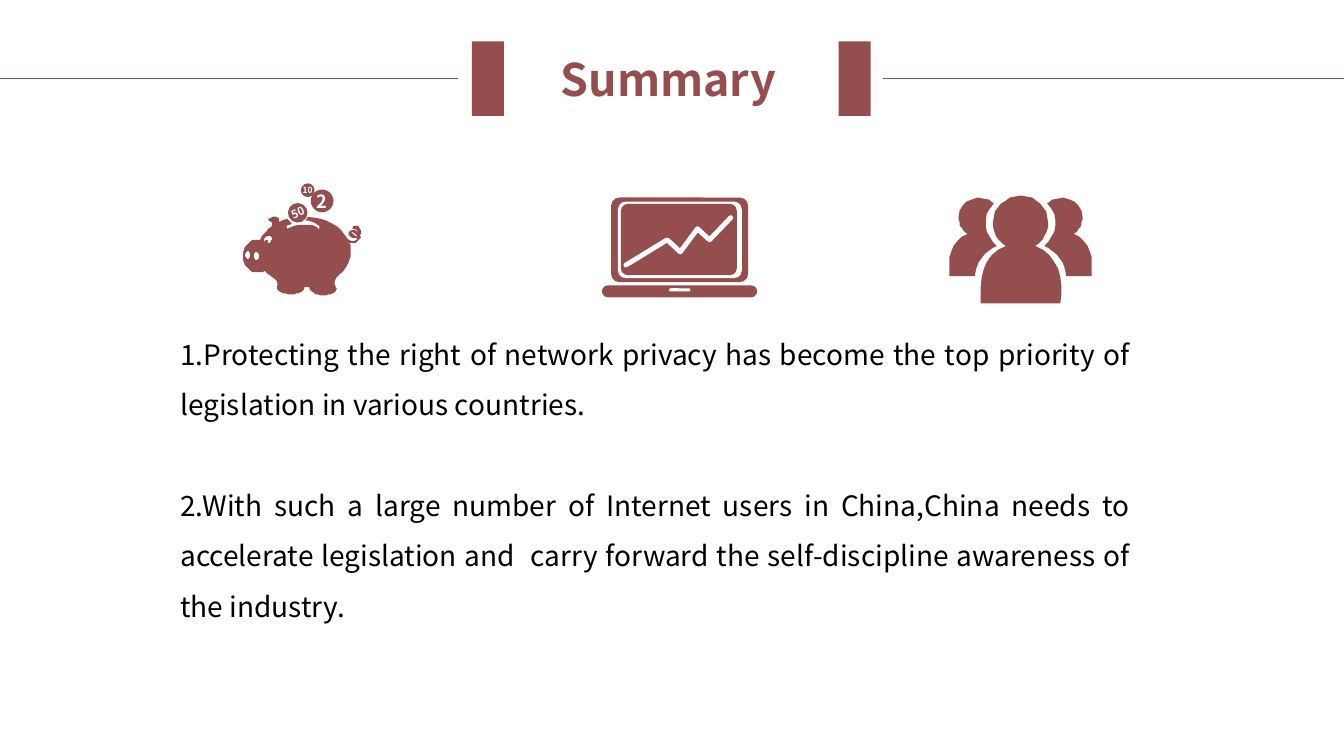
from dataclasses import dataclass

from lxml import etree
from pptx import Presentation
from pptx.dml.color import RGBColor
from pptx.enum.shapes import MSO_CONNECTOR, MSO_SHAPE
from pptx.enum.text import MSO_ANCHOR, MSO_AUTO_SIZE, PP_ALIGN
from pptx.oxml.ns import qn
from pptx.util import Pt

RECTANGLE, ROUNDED, OVAL = MSO_SHAPE.RECTANGLE, MSO_SHAPE.ROUNDED_RECTANGLE, MSO_SHAPE.OVAL
STRAIGHT = MSO_CONNECTOR.STRAIGHT
CENTER, JUSTIFY = PP_ALIGN.CENTER, PP_ALIGN.JUSTIFY
TOP, MIDDLE = MSO_ANCHOR.TOP, MSO_ANCHOR.MIDDLE
GROW, FIXED = MSO_AUTO_SIZE.SHAPE_TO_FIT_TEXT, MSO_AUTO_SIZE.NONE

COLORS = {"accent": "944E4E", "paper": "FFFFFF", "text": "000000"}
FONT = "Noto Sans CJK SC"
WIDTH, HEIGHT = 960, 540
OUTLINE_UNIT = 0.72  # points per unit in the icon outlines
CURVE_STEPS = 8

# Outlines: M starts a contour, L is a line, C a cubic curve.
FRONT_PERSON = """M 998 244 C 975 253 971 278 973 301 L 1052 301 C 1055 278 1051 253 1027 244
C 1035 239 1040 231 1040 221 C 1040 206 1028 194 1013 194 C 998 194 985 206 985 221
C 985 230 990 239 998 244"""
SIDE_PERSON = """M 942 274 L 967 274 C 968 262 977 248 989 244 C 977 235 973 214 986 202
C 974 190 951 198 951 215 C 951 222 954 229 960 232 C 943 239 940 257 942 274"""
MIRROR_SUM = 2025
PIG_TAIL_AND_BACK = """M 351 224 C 350 225 349 227 351 227 C 353 227 354 228 355 230
C 353 228 350 227 348 229 C 346 230 345 232 347 234 C 349 236 351 236 354 236
C 354 237 354 238 353 238 C 351 240 347 239 345 237 C 339 225 324 216 305 215
C 305 217 304 218 303 219 C 308 219 313 220 317 224 L 317 227 C 317 227 304 217 285 227
L 284 224 C 284 224 287 223 290 222 C 288 220 287 219 285 217 C 282 218 280 219 277 220"""
PIG_HEAD_AND_LEGS = """C 279 211 263 217 267 219 C 271 220 270 224 270 224
C 265 228 261 233 258 238 L 254 238 C 247 238 241 245 241 254 C 241 263 247 270 254 270
C 256 270 261 270 263 269 C 266 272 269 275 273 277 C 277 280 275 285 275 285
C 275 289 281 292 289 292 C 296 292 302 289 302 285 L 307 285 C 307 289 313 293 321 293
C 328 293 334 290 334 286 C 334 286 329 280 334 275 C 342 268 348 260 348 250
C 348 247 348 244 347 241 C 351 242 355 241 357 237 C 358 236 358 235 357 234
C 360 229 357 223 351 224"""
PIG_HOLES = """M 353 234 C 351 233 350 232 349 231 C 348 230 350 230 351 231
C 352 231 353 232 354 234
M 246 257 C 245 257 243 255 243 253 C 243 251 245 249 246 249 C 247 249 248 251 248 253
C 248 255 247 257 246 257
M 254 258 C 253 258 252 256 252 254 C 252 252 253 250 254 250 C 256 250 257 252 257 254
C 257 256 256 258 254 258
M 269 239 C 268 241 266 241 265 241 C 266 240 266 239 266 239 C 265 238 264 238 263 239
L 263 240 C 262 239 262 237 263 236 C 264 234 267 233 268 234 C 270 235 270 237 269 239"""
PIG_PARTS = [PIG_TAIL_AND_BACK, PIG_HEAD_AND_LEGS, PIG_HOLES]
TREND = "M 621 263 L 662 238 L 675 250 L 692 227 L 704 238 L 725 215.5"


@dataclass(frozen=True)
class Box:
    left: float
    top: float
    width: float
    height: float
    color: str = "accent"
    kind: int = RECTANGLE
    radius: float = 0


@dataclass(frozen=True)
class Coin:
    left: float
    top: float
    size: float
    value: str
    font_size: float
    rotation: float = 0


LAPTOP = [
    Box(430, 203.8, 110.9, 8.6, kind=ROUNDED, radius=4.3),
    Box(478, 205.9, 15.1, 2.3, "paper", ROUNDED, 1.1),
    Box(436.5, 141.1, 97.9, 60.5, kind=ROUNDED, radius=6),
    Box(441.4, 144, 88.5, 54.7, "paper", ROUNDED, 5.5),
    Box(443.5, 145.6, 82.8, 51, kind=ROUNDED, radius=5),
]
COINS = [
    Coin(222, 135.4, 16.2, "2", 13),
    Coin(205.7, 145, 14, "50", 8, -25),
    Coin(214.9, 131, 9.8, "10", 6),
]
TITLE_MARKS = [Box(left, 29.5, 23, 53.3) for left in (337, 599)]
TITLE_RULES = [(326.9, 0), (WIDTH, 630.7)]
SUMMARY = [
    "1.Protecting the right of network privacy has become the top priority of legislation "
    "in various countries.",
    "2.With such a large number of Internet users in China,China needs to accelerate legislation "
    "and  carry forward the self-discipline awareness of the industry.",
]


def rgb(name: str) -> RGBColor:
    return RGBColor.from_string(COLORS[name])


def fill_plain(shape, color: str) -> None:
    shape.shadow.inherit = False
    shape.fill.solid()
    shape.fill.fore_color.rgb = rgb(color)
    shape.line.fill.background()


def draw_box(shapes, box: Box):
    shape = shapes.add_shape(box.kind, Pt(box.left), Pt(box.top), Pt(box.width), Pt(box.height))
    if box.radius:
        shape.adjustments[0] = min(0.5, box.radius / min(box.width, box.height))
    fill_plain(shape, box.color)
    return shape


def write_text(shape, *paragraphs: str, size: float, color: str, bold: bool = False,
               align: int = CENTER, anchor: int = MIDDLE, spacing: float = 1, gap: float = 0,
               inset: tuple[float, float] = (0, 0), wrap: bool = True, fit: int = GROW) -> None:
    frame = shape.text_frame
    frame.word_wrap, frame.auto_size, frame.vertical_anchor = wrap, fit, anchor
    frame.margin_left = frame.margin_right = Pt(inset[0])
    frame.margin_top = frame.margin_bottom = Pt(inset[1])
    for index, text in enumerate(paragraphs):
        paragraph = frame.add_paragraph() if index else frame.paragraphs[0]
        paragraph.alignment, paragraph.line_spacing = align, spacing
        paragraph.space_before = Pt(gap if index else 0)
        run = paragraph.add_run()
        run.text = text
        run.font.name, run.font.size, run.font.bold = FONT, Pt(size), bold
        run.font.color.rgb = rgb(color)


def trace(outline: str) -> list[list[tuple[float, float]]]:
    """Turn an outline into contours of points, with its curves sampled."""
    contours = []
    for part in outline.split("M")[1:]:
        tokens = part.replace("L", "|L").replace("C", "|C").split("|")
        x, y = tokens[0].split()
        contour = [(float(x), float(y))]
        for command in tokens[1:]:
            numbers = [float(number) for number in command[1:].split()]
            points = [contour[-1], *zip(numbers[::2], numbers[1::2])]
            if command[0] == "L":
                contour.append(points[1])
                continue
            for step in range(1, CURVE_STEPS + 1):
                t = step / CURVE_STEPS
                weights = ((1 - t) ** 3, 3 * t * (1 - t) ** 2, 3 * t * t * (1 - t), t ** 3)
                contour.append(tuple(sum(weight * point[axis] for weight, point in
                                         zip(weights, points)) for axis in (0, 1)))
        contours.append(contour)
    return contours


def draw_outline(shapes, outline: str, mirrored: bool = False, closed: bool = True):
    contours = trace(outline)
    if mirrored:
        contours = [[(MIRROR_SUM - x, y) for x, y in contour] for contour in contours]
    builder = shapes.build_freeform(*contours[0][0], scale=Pt(OUTLINE_UNIT))
    for index, contour in enumerate(contours):
        if index:
            builder.move_to(*contour[0])
        builder.add_line_segments(contour[1:], close=closed)
    shape = builder.convert_to_shape()
    fill_plain(shape, "accent")
    return shape


def draw_title(slide) -> None:
    title = slide.shapes.add_textbox(Pt(349.2), Pt(36.7), Pt(256.3), Pt(38.9))
    write_text(title, "Summary", size=32, color="accent", bold=True)
    for mark in TITLE_MARKS:
        draw_box(slide.shapes, mark)
    for start, end in TITLE_RULES:
        rule = slide.shapes.add_connector(STRAIGHT, Pt(start), Pt(56.2), Pt(end), Pt(56.2))
        rule.line.color.rgb, rule.line.width = rgb("accent"), Pt(0.5)
        etree.SubElement(rule._element.spPr, qn("a:effectLst"))


def draw_people(shapes) -> None:
    draw_outline(shapes, FRONT_PERSON)
    for mirrored in (True, False):
        draw_outline(shapes, SIDE_PERSON, mirrored)


def draw_piggy_bank(shapes) -> None:
    draw_outline(shapes, " ".join(PIG_PARTS))
    for coin in COINS:
        shape = draw_box(shapes, Box(coin.left, coin.top, coin.size, coin.size, kind=OVAL))
        shape.rotation = coin.rotation
        write_text(shape, coin.value, size=coin.font_size, color="paper", bold=True,
                   wrap=False, fit=FIXED)


def draw_laptop(shapes) -> None:
    for box in LAPTOP:
        draw_box(shapes, box)
    trend = draw_outline(shapes, TREND, closed=False)
    trend.fill.background()
    trend.line.color.rgb, trend.line.width = rgb("paper"), Pt(3.5)
    line = trend.line._get_or_add_ln()
    line.set("cap", "rnd")
    etree.SubElement(line, qn("a:round"))


def main() -> None:
    presentation = Presentation()
    presentation.slide_width, presentation.slide_height = Pt(WIDTH), Pt(HEIGHT)
    slide = presentation.slides.add_slide(presentation.slide_layouts[6])
    draw_title(slide)
    for draw_icon in (draw_people, draw_piggy_bank, draw_laptop):
        draw_icon(slide.shapes.add_group_shape().shapes)
    body = slide.shapes.add_textbox(Pt(121.7), Pt(225.4), Pt(692.6), Pt(225.4))
    write_text(body, *SUMMARY, size=20, color="text", align=JUSTIFY, anchor=TOP,
               spacing=1.5, gap=36, inset=(7.2, 3.6))
    presentation.save("out.pptx")


if __name__ == "__main__":
    main()
